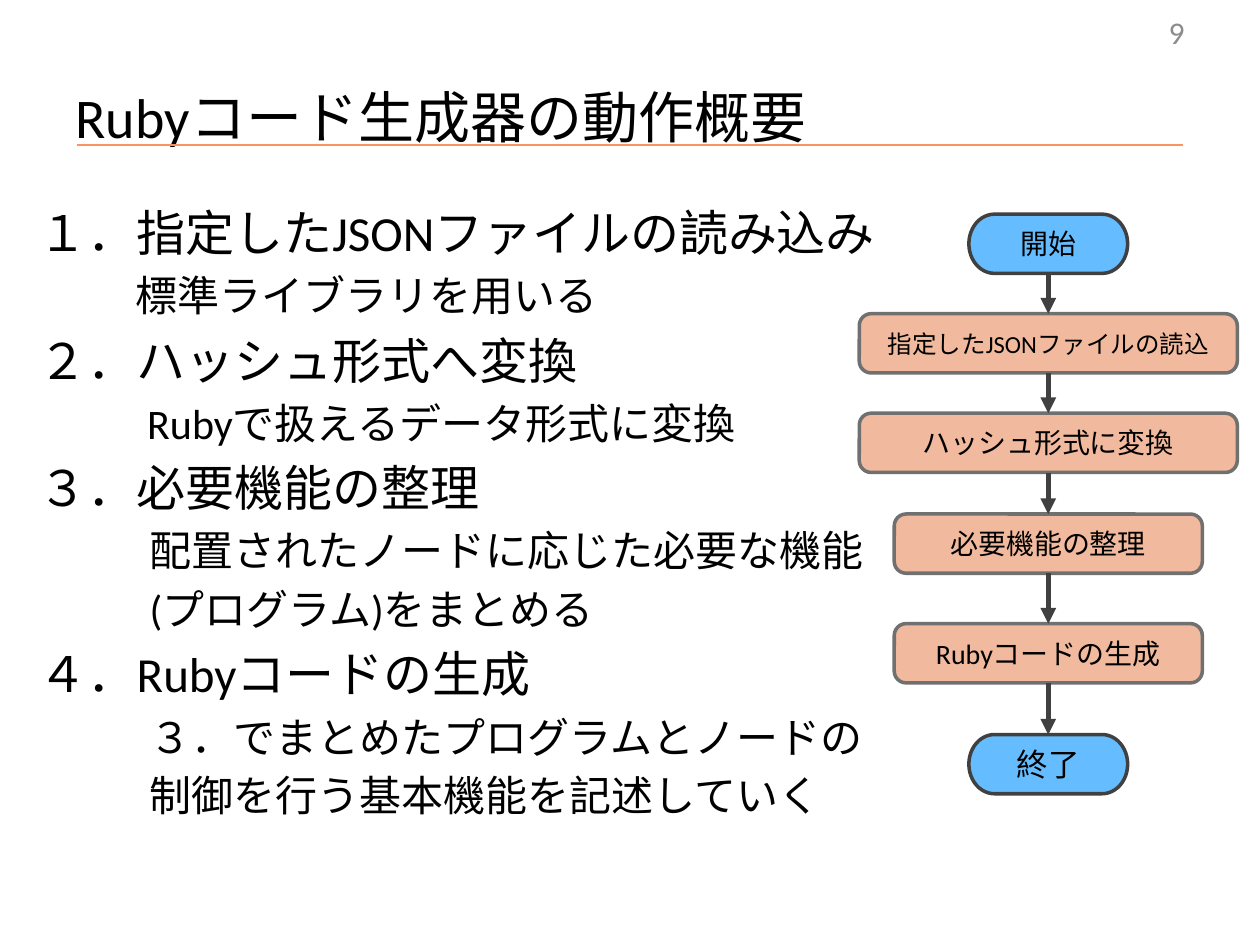
from lxml.etree import SubElement
from pptx import Presentation
from pptx.dml.color import RGBColor
from pptx.enum.shapes import MSO_CONNECTOR as Connector, MSO_SHAPE as Shape
from pptx.enum.text import MSO_ANCHOR as Anchor, PP_ALIGN as Align
from pptx.oxml.ns import qn
from pptx.util import Inches, Pt

COLORS = {
    "text": "000000", "number": "8C8C8C", "rule": "FD9460", "step": "F1B99D",
    "step_line": "707070", "terminal": "65BDFF", "dark": "404040",
}
FONT = "Calibri"
HEADING, DETAIL = 28, 24
OUTLINE = [
    ("１．指定したJSONファイルの読み込み", HEADING, 0, 0),
    ("標準ライブラリを用いる", DETAIL, 1, 0.77),
    ("２．ハッシュ形式へ変換", HEADING, 0, 0),
    ("Rubyで扱えるデータ形式に変換", DETAIL, 1, 0.86),
    ("３．必要機能の整理", HEADING, 0, 0),
    ("配置されたノードに応じた必要な機能", DETAIL, 2, 0.88),
    ("(プログラム)をまとめる", DETAIL, 2, 0.88),
    ("４．Rubyコードの生成", HEADING, 0, 0),
    ("３．でまとめたプログラムとノードの", DETAIL, 2, 0.88),
    ("制御を行う基本機能を記述していく", DETAIL, 2, 0.88),
]
TERMINAL, WIDE, NARROW = 0.42, 1, 0.815
FLOW = [
    ("開始", 16, TERMINAL, 0),
    ("指定したJSONファイルの読込", 14, WIDE, 0.79),
    ("ハッシュ形式に変換", 16, WIDE, 1.58),
    ("必要機能の整理", 16, NARROW, 2.38),
    ("Rubyコードの生成", 16, NARROW, 3.25),
    ("終了", 18, TERMINAL, 4.13),
]
NODE_HEIGHT = 0.47


def color(name):
    """Return the named colour."""
    return RGBColor.from_string(COLORS[name])


def write(paragraph, text, size, align, tint="text"):
    """Add one formatted run to a paragraph."""
    paragraph.alignment = align
    run = paragraph.add_run()
    run.text = text
    run.font.name = FONT
    run.font.size = Pt(size)
    run.font.color.rgb = color(tint)


def add_line(slide, start, end, tint, width):
    """Add a straight line without a shadow."""
    points = [Inches(value) for value in (*start, *end)]
    line = slide.shapes.add_connector(Connector.STRAIGHT, *points)
    line.line.color.rgb = color(tint)
    line.line.width = Pt(width)
    SubElement(line._element.spPr, qn("a:effectLst"))
    return line


def add_text_box(slide, box, anchor):
    """Add a wrapping text box and return its text frame."""
    frame = slide.shapes.add_textbox(*map(Inches, box)).text_frame
    frame.word_wrap = True
    frame.vertical_anchor = anchor
    return frame


def add_header(slide, box):
    """Place the title, its rule and the page number."""
    left, top, width, height = box
    title = slide.shapes.title
    title.left, title.top, title.width, title.height = map(Inches, box)
    title.text_frame.vertical_anchor = Anchor.MIDDLE
    write(title.text_frame.paragraphs[0], "Rubyコード生成器の動作概要", 32, Align.LEFT)
    rule_top = top + height * 0.68
    add_line(slide, (left + 0.11, rule_top), (left + width - 0.11, rule_top), "rule", 0.75)
    number = add_text_box(slide, (left + width - 2.33, top - 0.25, 2.33, 0.4), Anchor.MIDDLE)
    write(number.paragraphs[0], "9", 18, Align.RIGHT, "number")


def add_outline(slide, box):
    """Write the numbered steps with their indented details."""
    frame = add_text_box(slide, box, Anchor.TOP)
    for index, (text, size, level, indent) in enumerate(OUTLINE):
        paragraph = frame.add_paragraph() if index else frame.paragraphs[0]
        paragraph.level = level
        paragraph.space_before = Pt(size * 0.2 if index else 0)
        properties = paragraph._p.get_or_add_pPr()
        properties.set("marL", str(Inches(indent)))
        properties.set("indent", "0")
        write(paragraph, text, size, Align.LEFT)


def add_node(slide, box, text, size, terminal):
    """Add one flowchart node."""
    kind = Shape.FLOWCHART_TERMINATOR if terminal else Shape.ROUNDED_RECTANGLE
    node = slide.shapes.add_shape(kind, *map(Inches, box))
    if not terminal:
        node.adjustments[0] = 0.2
    node.shadow.inherit = False
    node.fill.solid()
    node.fill.fore_color.rgb = color("terminal" if terminal else "step")
    node.line.color.rgb = color("dark" if terminal else "step_line")
    node.line.width = Pt(2)
    node.text_frame.word_wrap = True
    node.text_frame.vertical_anchor = Anchor.MIDDLE
    write(node.text_frame.paragraphs[0], text, size, Align.CENTER)
    return node


def add_flowchart(slide, box):
    """Stack the nodes on one axis and join them with arrows."""
    left, top, width, _ = box
    nodes = []
    for text, size, share, offset in FLOW:
        node_width = width * share
        node_box = (left + (width - node_width) / 2, top + offset, node_width, NODE_HEIGHT)
        nodes.append(add_node(slide, node_box, text, size, share == TERMINAL))
    for upper, lower in zip(nodes, nodes[1:]):
        arrow = add_line(slide, (left, top), (left, top), "dark", 3)
        arrow.begin_connect(upper, 2)
        arrow.end_connect(lower, 0)
        SubElement(arrow.line._get_or_add_ln(), qn("a:tailEnd"), type="triangle")


def main():
    """Build and save the slide."""
    presentation = Presentation()
    presentation.slide_width, presentation.slide_height = Inches(10), Inches(7.5)
    slide = presentation.slides.add_slide(presentation.slide_layouts[5])
    add_header(slide, (0.5, 0.3, 9, 1.25))
    add_outline(slide, (0.21, 1.56, 8.11, 4.95))
    add_flowchart(slide, (6.82, 1.7, 3, 4.6))
    presentation.save("out.pptx")


if __name__ == "__main__":
    main()
